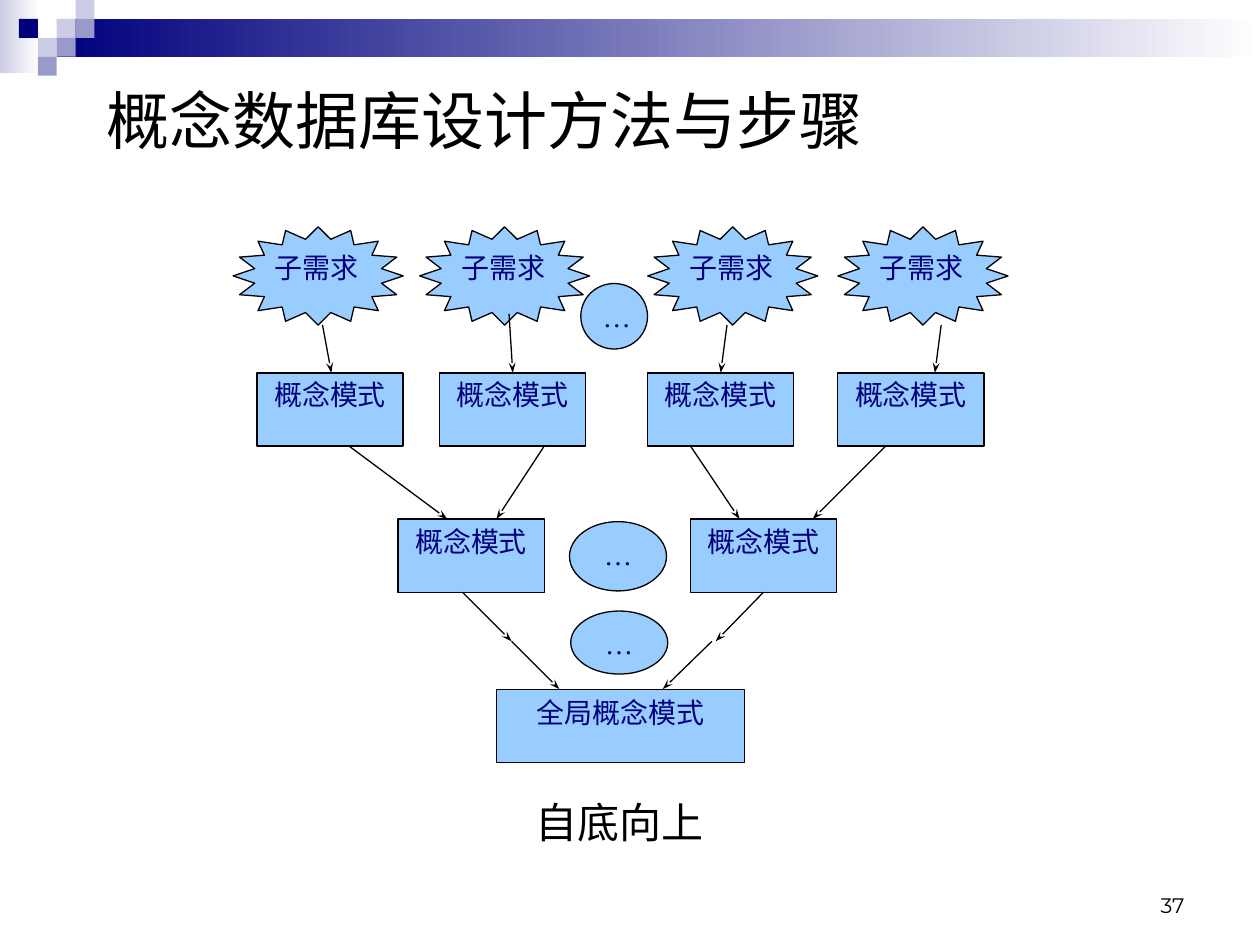
from lxml.etree import SubElement
from pptx import Presentation
from pptx.dml.color import RGBColor
from pptx.enum.shapes import MSO_CONNECTOR, MSO_SHAPE
from pptx.enum.text import MSO_ANCHOR, PP_ALIGN
from pptx.oxml.ns import qn
from pptx.util import Pt

PX = 9144
COLORS = {"navy": "00007D", "lilac": "CCCCE6", "violet": "9999CC",
          "sky": "99CCFF", "black": "000000", "white": "FFFFFF"}
COLORS = {name: RGBColor.from_string(value) for name, value in COLORS.items()}

presentation = Presentation()
presentation.slide_width = 1000 * PX
presentation.slide_height = 750 * PX
slide = presentation.slides.add_slide(presentation.slide_layouts[6])


def add_box(kind, left, top, width, height):
    shape = slide.shapes.add_shape(kind, left * PX, top * PX, width * PX, height * PX)
    shape.shadow.inherit = False
    shape.line.fill.background()
    return shape


def write(shape, text, size, font, color, align, anchor, insets=(10, 5)):
    frame = shape.text_frame
    frame.word_wrap = True
    frame.vertical_anchor = anchor
    frame.margin_left = frame.margin_right = insets[0] * PX
    frame.margin_top = frame.margin_bottom = insets[1] * PX
    paragraph = frame.paragraphs[0]
    paragraph.text = text
    paragraph.alignment = align
    paragraph.font.size = Pt(size)
    paragraph.font.name = font
    paragraph.font.color.rgb = COLORS[color]


for start, left, top, width, height in [("lilac", 0, 0, 31, 58), ("navy", 45, 15, 955, 30)]:
    band = add_box(MSO_SHAPE.RECTANGLE, left, top, width, height)
    band.fill.gradient()
    band.fill.gradient_angle = 0
    for stop, color in zip(band.fill.gradient_stops, (start, "white")):
        stop.color.rgb = COLORS[color]

TILE = 15
for color, column, row in [("lilac", 3, 1), ("lilac", 4, 0), ("violet", 4, 1),
                           ("lilac", 2, 2), ("navy", 1, 1), ("violet", 3, 2),
                           ("violet", 2, 3)]:
    tile = add_box(MSO_SHAPE.RECTANGLE, column * TILE, row * TILE, TILE, TILE)
    tile.fill.solid()
    tile.fill.fore_color.rgb = COLORS[color]

for text, bounds, size, font, align, anchor in [
    ("37", (717, 683, 233, 50), 12, "Montserrat", PP_ALIGN.RIGHT, MSO_ANCHOR.BOTTOM),
    ("概念数据库设计方法与步骤", (75, 64, 850, 61), 36, "Arial", PP_ALIGN.LEFT, MSO_ANCHOR.MIDDLE),
    ("自底向上", (374, 627, 236, 50), 24, "Times New Roman", PP_ALIGN.CENTER, MSO_ANCHOR.TOP),
]:
    text_box = slide.shapes.add_textbox(*(length * PX for length in bounds))
    write(text_box, text, size, font, "black", align, anchor)

OVAL, STAR, RECTANGLE = MSO_SHAPE.OVAL, MSO_SHAPE.STAR_16_POINT, MSO_SHAPE.RECTANGLE
nodes = [(OVAL, "…", 461, 225, 53, 52, (10, 5))]
nodes += [(STAR, "子需求", left, 180, 135, 78, (2, 1)) for left in (185, 665, 333, 514)]
nodes += [(RECTANGLE, "概念模式", left, top, 116, 58, (2, 4))
          for top, lefts in [(296, (204, 349, 514, 665)), (412, (316, 548))]
          for left in lefts]
nodes += [(RECTANGLE, "全局概念模式", 394, 547, 197, 58, (10, 5)),
          (OVAL, "…", 452, 414, 77, 55, (10, 5)),
          (OVAL, "…", 453, 485, 77, 50, (10, 5))]

for kind, text, left, top, width, height, insets in nodes:
    node = add_box(kind, left, top, width, height)
    node.fill.solid()
    node.fill.fore_color.rgb = COLORS["sky"]
    node.line.color.rgb = COLORS["black"]
    node.line.width = Pt(0.75)
    if kind == STAR:
        node.adjustments[0] = 0.38
    align = PP_ALIGN.JUSTIFY if kind == STAR else PP_ALIGN.CENTER
    write(node, text, 16, "Times New Roman", "navy", align, MSO_ANCHOR.TOP, insets)

arrows = [
    (747, 258, 742, 296), (577, 258, 572, 296), (404, 249, 407, 296), (256, 258, 263, 296),
    (548, 354, 587, 412), (277, 354, 355, 412), (432, 354, 394, 412), (703, 354, 645, 412),
    (367, 470, 406, 509), (406, 509, 444, 547), (606, 470, 568, 509), (565, 509, 526, 547),
]
for ends in arrows:
    arrow = slide.shapes.add_connector(MSO_CONNECTOR.STRAIGHT, *(end * PX for end in ends))
    arrow.line.color.rgb = COLORS["black"]
    arrow.line.width = Pt(0.75)
    SubElement(arrow.line._get_or_add_ln(), qn("a:tailEnd"), type="stealth", w="sm", len="med")
    SubElement(arrow._element.spPr, qn("a:effectLst"))

presentation.save("out.pptx")
